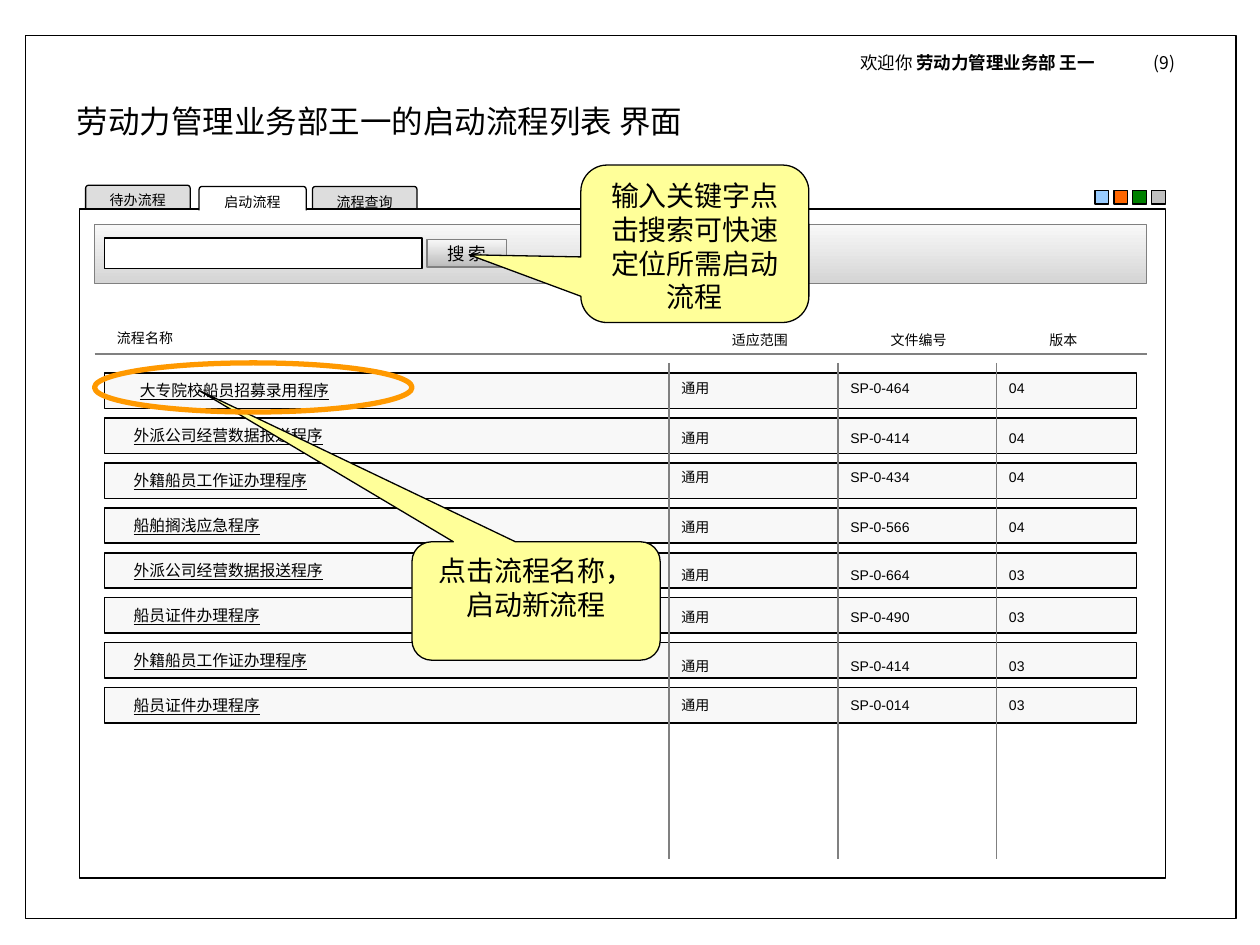
from lxml.etree import SubElement
from pptx import Presentation
from pptx.dml.color import RGBColor
from pptx.enum.shapes import MSO_CONNECTOR, MSO_SHAPE
from pptx.enum.text import MSO_ANCHOR, MSO_AUTO_SIZE, PP_ALIGN
from pptx.oxml.ns import qn
from pptx.util import Inches, Pt

COLORS = {
    "black": "000000", "white": "FFFFFF", "gray": "808080", "tab": "DDDDDD",
    "row": "F8F8F8", "bar_end": "D5D5D5", "button_end": "BBBBBB",
    "callout": "FFFF99", "highlight": "FF9900", "blue": "99CCFF",
    "orange": "FF6600", "green": "008000", "silver": "C0C0C0",
}
LATIN, CHINESE = "Arial", "Noto Sans CJK SC"
COLUMNS = [5.31, 6.65, 7.91]
COLUMN_WIDTHS = [0.79, 0.71, 0.63]
ROW_TOP, ROW_PITCH = 2.96, 0.357

# Process name, top of the detail texts, file number, version
PROCESSES = [
    ("大专院校船员招募录用程序", 2.96, "SP-0-464", "04"),
    ("外派公司经营数据报送程序", 3.36, "SP-0-414", "04"),
    ("外籍船员工作证办理程序", 3.67, "SP-0-434", "04"),
    ("船舶搁浅应急程序", 4.07, "SP-0-566", "04"),
    ("外派公司经营数据报送程序", 4.45, "SP-0-664", "03"),
    ("船员证件办理程序", 4.78, "SP-0-490", "03"),
    ("外籍船员工作证办理程序", 5.17, "SP-0-414", "03"),
    ("船员证件办理程序", 5.48, "SP-0-014", "03"),
]


def rgb(name):
    return RGBColor.from_string(COLORS[name])


def format_paragraph(paragraph, size, font_name=LATIN, align=PP_ALIGN.LEFT):
    paragraph.alignment = align
    font = paragraph.font
    font.size = Pt(size)
    font.name = font_name
    font.color.rgb = rgb("black")
    properties = paragraph._p.pPr.find(qn("a:defRPr"))
    SubElement(properties, qn("a:ea"), typeface=CHINESE)


def add_box(slide, left, top, width, height, fill="white", line="black",
            kind=MSO_SHAPE.RECTANGLE, line_width=0.75):
    """Add a preset shape; fill is a colour, a pair for a gradient, or None."""
    shape = slide.shapes.add_shape(
        kind, Inches(left), Inches(top), Inches(width), Inches(height))
    shape.shadow.inherit = False
    if fill is None:
        shape.fill.background()
    elif isinstance(fill, tuple):
        shape.fill.gradient()
        shape.fill.gradient_angle = 270
        for stop, name, position in zip(shape.fill.gradient_stops, fill, (0, 1)):
            stop.color.rgb = rgb(name)
            stop.position = position
    else:
        shape.fill.solid()
        shape.fill.fore_color.rgb = rgb(fill)
    if line is None:
        shape.line.fill.background()
    else:
        shape.line.color.rgb = rgb(line)
        shape.line.width = Pt(line_width)
    return shape


def write_label(shape, text, size, font_name=LATIN, align=PP_ALIGN.CENTER, wrap=False):
    shape.text_frame.word_wrap = wrap
    paragraph = shape.text_frame.paragraphs[0]
    paragraph.add_run().text = text
    format_paragraph(paragraph, size, font_name, align)
    return paragraph


def add_text(slide, left, top, width, text, height=0.24, size=8):
    box = slide.shapes.add_textbox(
        Inches(left), Inches(top), Inches(width), Inches(height))
    write_label(box, text, size, align=PP_ALIGN.LEFT, wrap=True)


def add_line(slide, x1, y1, x2, y2):
    line = slide.shapes.add_connector(
        MSO_CONNECTOR.STRAIGHT, Inches(x1), Inches(y1), Inches(x2), Inches(y2))
    line.line.color.rgb = rgb("gray")
    line.line.width = Pt(0.75)
    SubElement(line._element.spPr, qn("a:effectLst"))


def add_tab(slide, left, top, width, text, fill):
    """Add a tab whose rounded lower edge is hidden by a white strip."""
    tab = add_box(slide, left, top, width, 0.24, fill, kind=MSO_SHAPE.ROUNDED_RECTANGLE)
    tab.adjustments[0] = 0.1
    write_label(tab, text, 8, CHINESE)
    add_box(slide, left - 0.04, top + 0.19, width + 0.08, 0.08, line=None)


def add_callout(slide, left, top, width, height, pointer, text):
    callout = add_box(slide, left, top, width, height, "callout",
                      kind=MSO_SHAPE.ROUNDED_RECTANGULAR_CALLOUT)
    callout.adjustments[0], callout.adjustments[1] = pointer
    callout.text_frame.vertical_anchor = MSO_ANCHOR.TOP
    write_label(callout, text, 16, wrap=True)


def place_title(slide, frame):
    title = slide.shapes.title
    title.left, title.top = Inches(0.51), Inches(0.76)
    title.width, title.height = Inches(5.51), Inches(0.86)
    title.text_frame.auto_size = MSO_AUTO_SIZE.NONE
    title.text_frame.vertical_anchor = MSO_ANCHOR.TOP
    write_label(title, "劳动力管理业务部王一的启动流程列表 界面", 18, CHINESE,
                PP_ALIGN.LEFT, wrap=True)
    frame._element.addnext(title._element)  # the filled frame lies behind the title


def add_welcome(slide):
    box = slide.shapes.add_textbox(
        Inches(6.73), Inches(0.36), Inches(3), Inches(0.27))
    box.text_frame.word_wrap = True
    paragraph = box.text_frame.paragraphs[0]
    tabs = SubElement(paragraph._p.get_or_add_pPr(), qn("a:tabLst"))
    SubElement(tabs, qn("a:tab"), pos=str(Inches(2.33)), algn="l")
    for text, bold in [("欢迎你 ", False), ("劳动力管理业务部 王一", True), ("\t(9)", False)]:
        run = paragraph.add_run()
        run.text = text
        run.font.bold = bold
    format_paragraph(paragraph, 10, CHINESE)


def add_search_bar(slide):
    add_box(slide, 0.75, 1.78, 8.35, 0.47, ("row", "bar_end"), "gray")
    add_box(slide, 0.83, 1.89, 2.52, 0.24)
    button = add_box(slide, 3.39, 1.9, 0.63, 0.22, ("row", "button_end"), "gray")
    write_label(button, "搜 索", 10)


def add_process_list(slide):
    add_line(slide, 0.75, 2.81, 9.1, 2.81)
    add_text(slide, 0.83, 2.57, 1.65, "流程名称")
    for left, heading in [(5.71, "适应范围"), (6.97, "文件编号"), (8.23, "版本")]:
        add_text(slide, left, 2.58, 0.71, heading)
    for index, (name, detail_top, number, version) in enumerate(PROCESSES):
        row = add_box(slide, 0.83, ROW_TOP + index * ROW_PITCH, 8.19, 0.28, "row")
        row.text_frame.margin_left = Inches(0.23 if index else 0.28)
        paragraph = write_label(row, name, 9, align=PP_ALIGN.LEFT, wrap=True)
        paragraph.font.underline = True
        for left, width, text in zip(COLUMNS, COLUMN_WIDTHS, ("通用", number, version)):
            add_text(slide, left, detail_top, width, text)
    for left in COLUMNS:
        add_line(slide, left, 2.88, left, 6.82)


def main():
    presentation = Presentation()
    presentation.slide_width, presentation.slide_height = Inches(10), Inches(7.5)
    slide = presentation.slides.add_slide(presentation.slide_layouts[5])

    frame = add_box(slide, 0.2, 0.28, 9.61, 7.01)
    place_title(slide, frame)
    add_welcome(slide)
    add_tab(slide, 0.68, 1.47, 0.83, "待办流程", "tab")
    add_tab(slide, 2.48, 1.48, 0.83, "流程查询", "tab")
    add_box(slide, 0.63, 1.66, 8.62, 5.31)
    add_tab(slide, 1.58, 1.48, 0.85, "启动流程", "white")
    for index, color in enumerate(["blue", "orange", "green", "silver"]):
        add_box(slide, 8.69 + index * 0.15, 1.51, 0.11, 0.11, color)

    add_search_bar(slide)
    add_process_list(slide)
    add_callout(slide, 4.61, 1.31, 1.81, 1.25, (-0.99, 0.07),
                "输入关键字点击搜索可快速定位所需启动流程")
    add_callout(slide, 3.27, 4.3, 1.97, 0.94, (-1.36, -1.78),
                "点击流程名称，启动新流程")
    add_box(slide, 0.75, 2.88, 2.52, 0.39, None, "highlight", MSO_SHAPE.OVAL, 3)

    presentation.save("out.pptx")


if __name__ == "__main__":
    main()
